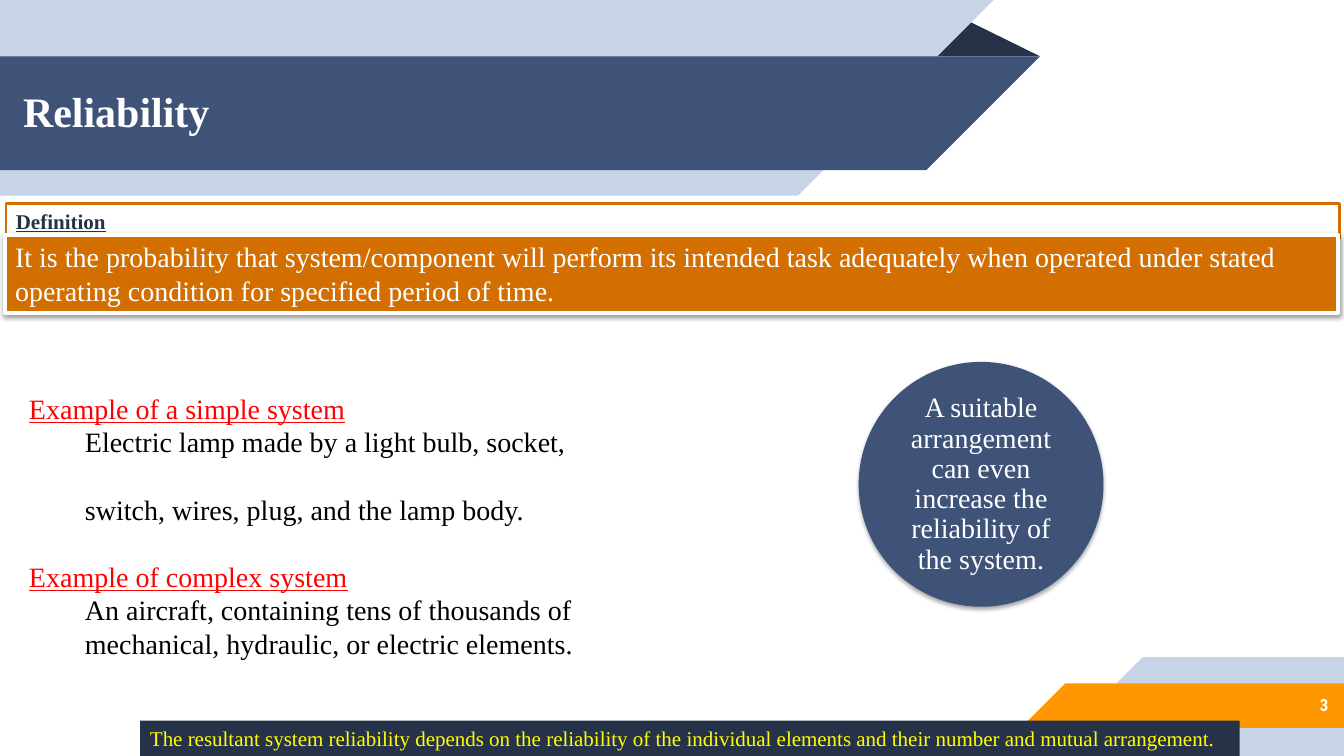
from dataclasses import dataclass

from lxml import etree
from pptx import Presentation
from pptx.dml.color import RGBColor
from pptx.enum.shapes import MSO_SHAPE as Shape
from pptx.enum.text import MSO_ANCHOR as Anchor, MSO_AUTO_SIZE as AutoSize, PP_ALIGN as Align
from pptx.oxml.ns import qn
from pptx.util import Cm, Pt


@dataclass(frozen=True)
class Theme:
    serif: str = "Times New Roman"
    condensed: str = "Roboto Condensed"
    navy: str = "263248"
    blue: str = "3F5378"
    pale: str = "C7D3E6"
    orange: str = "FF9800"
    rust: str = "D26F00"
    white: str = "FFFFFF"
    black: str = "000000"
    red: str = "FF0000"
    yellow: str = "FFFF00"
    title_size: int = 30
    text_size: int = 20
    note_size: int = 15
    number_size: int = 12


THEME = Theme()
WIDTH, HEIGHT = 33.87, 19.05
EXAMPLES = [
    ("Example of a simple system", True, 0),
    ("Electric lamp made by a light bulb, socket,", False, 0),
    ("switch, wires, plug, and the lamp body.", False, 24),
    ("Example of complex system", True, 24),
    ("An aircraft, containing tens of thousands of", False, 0),
    ("mechanical, hydraulic, or electric elements.", False, 0),
]


def rgb(color):
    return RGBColor.from_string(color)


def place(shape, left, top, width, height):
    shape.left, shape.top = Cm(left), Cm(top)
    shape.width, shape.height = Cm(width), Cm(height)


def paint(shape, fill, line=None, weight=0):
    shape.shadow.inherit = False
    shape.fill.solid()
    shape.fill.fore_color.rgb = rgb(fill)
    if line:
        shape.line.color.rgb = rgb(line)
        shape.line.width = Pt(weight)
    else:
        shape.line.fill.background()


def set_insets(frame, horizontal, vertical):
    frame.margin_left = frame.margin_right = Cm(horizontal)
    frame.margin_top = frame.margin_bottom = Cm(vertical)


def format_runs(paragraph, size, color, font=THEME.serif, bold=False, underline=False):
    for run in paragraph.runs:
        run.font.name = font
        run.font.size = Pt(size)
        run.font.color.rgb = rgb(color)
        run.font.bold = bold
        run.font.underline = underline


def write(shape, text, size, color, align=Align.LEFT, anchor=Anchor.TOP, **style):
    frame = shape.text_frame
    frame.word_wrap = True
    frame.auto_size = AutoSize.NONE
    frame.vertical_anchor = anchor
    frame.text = text
    paragraph = frame.paragraphs[0]
    paragraph.alignment = align
    format_runs(paragraph, size, color, **style)
    return frame


def add_panel(slide, kind, box, fill, line=None, weight=0):
    shape = slide.shapes.add_shape(kind, *map(Cm, box))
    paint(shape, fill, line, weight)
    return shape


def add_shadow(shape, opacity):
    effects = shape.element.spPr.find(qn("a:effectLst"))
    shadow = etree.SubElement(effects, qn("a:outerShdw"), blurRad=str(Pt(3.1)),
                              dist=str(Pt(1.7)), dir="5400000", rotWithShape="0")
    color = etree.SubElement(shadow, qn("a:srgbClr"), val=THEME.black)
    etree.SubElement(color, qn("a:alpha"), val=str(opacity * 1000))


def add_polygon(slide, points, fill):
    start, *others = [(Cm(x), Cm(y)) for x, y in points]
    builder = slide.shapes.build_freeform(*start)
    builder.add_line_segments(others)
    paint(builder.convert_to_shape(), fill)


def add_left_band(slide, top, height, reach, fill):
    bottom = top + height
    add_polygon(slide, [(0, top), (reach, top), (reach - height, bottom), (0, bottom)], fill)


def add_right_band(slide, top, height, start, fill):
    bottom = top + height
    add_polygon(slide, [(start, bottom), (start + height, top), (WIDTH, top), (WIDTH, bottom)], fill)


def add_bands(slide):
    add_polygon(slide, [(23.32, 1.42), (24.26, 0.46), (26.21, 1.42)], THEME.navy)
    add_left_band(slide, 0, 4.93, 25.04, THEME.pale)
    add_left_band(slide, 1.42, 2.87, 26.21, THEME.blue)
    add_right_band(slide, 16.56, 2.49, 26.31, THEME.pale)
    add_right_band(slide, 17.22, 1.12, 25.73, THEME.orange)


def fill_title(title):
    place(title, 0.33, 1.73, 23.6, 2.13)
    frame = write(title, "Reliability", THEME.title_size, THEME.white,
                  anchor=Anchor.MIDDLE, bold=True)
    set_insets(frame, 0.25, 0.25)


def add_number(slide):
    box = slide.shapes.add_textbox(Cm(28.22), Cm(17.17), Cm(5.51), Cm(1.17))
    frame = write(box, "3", THEME.number_size, THEME.white, Align.RIGHT, Anchor.MIDDLE,
                  font=THEME.condensed, bold=True)
    set_insets(frame, 0.25, 0.25)


def add_definition(slide):
    heading = add_panel(slide, Shape.RECTANGLE, (0.15, 5.13, 33.6, 0.89),
                        THEME.white, THEME.rust, 2)
    write(heading, "Definition", THEME.note_size, THEME.navy, bold=True, underline=True)
    statement = add_panel(slide, Shape.RECTANGLE, (0.13, 5.92, 33.6, 1.96),
                          THEME.rust, THEME.white, 3)
    add_shadow(statement, 38)
    write(statement, "It is the probability that system/component will perform its intended task "
          "adequately when operated under stated operating condition for specified period of time.",
          THEME.text_size, THEME.white)


def fill_examples(body):
    place(body, 0.48, 9.73, 16, 6.75)
    frame = body.text_frame
    frame.word_wrap = True
    frame.auto_size = AutoSize.NONE
    frame.vertical_anchor = Anchor.TOP
    set_insets(frame, 0.25, 0.13)
    frame.text = "\n".join(text for text, _, _ in EXAMPLES)
    for paragraph, (_, heading, gap) in zip(frame.paragraphs, EXAMPLES):
        paragraph.alignment = Align.LEFT
        paragraph.line_spacing = Pt(24)
        paragraph.space_before = Pt(gap)
        paragraph.space_after = Pt(0)
        properties = paragraph._p.get_or_add_pPr()
        properties.set("marL", str(Cm(0 if heading else 1.41)))
        properties.set("indent", "0")
        etree.SubElement(properties, qn("a:buNone"))
        format_runs(paragraph, THEME.text_size, THEME.red if heading else THEME.black,
                    underline=heading)


def add_circle(slide):
    circle = add_panel(slide, Shape.OVAL, (21.64, 9.12, 6.17, 6.17), THEME.blue)
    add_shadow(circle, 35)
    frame = write(circle, "A suitable arrangement can even increase the reliability of the system.",
                  THEME.text_size, THEME.white, Align.CENTER, Anchor.MIDDLE)
    set_insets(frame, 0.38, 0.38)
    frame.paragraphs[0].line_spacing = 0.9


def add_note(slide):
    note = add_panel(slide, Shape.RECTANGLE, (3.53, 18.16, 27.71, 0.89), THEME.navy)
    write(note, "The resultant system reliability depends on the reliability of the individual "
          "elements and their number and mutual arrangement.", THEME.note_size, THEME.yellow)


def main():
    presentation = Presentation()
    presentation.slide_width, presentation.slide_height = Cm(WIDTH), Cm(HEIGHT)
    slide = presentation.slides.add_slide(presentation.slide_layouts[1])
    title, body = slide.placeholders
    add_bands(slide)
    for placeholder in (title, body):
        slide.shapes._spTree.append(placeholder.element)
    fill_title(title)
    fill_examples(body)
    add_number(slide)
    add_definition(slide)
    add_circle(slide)
    add_note(slide)
    presentation.save("out.pptx")


if __name__ == "__main__":
    main()
